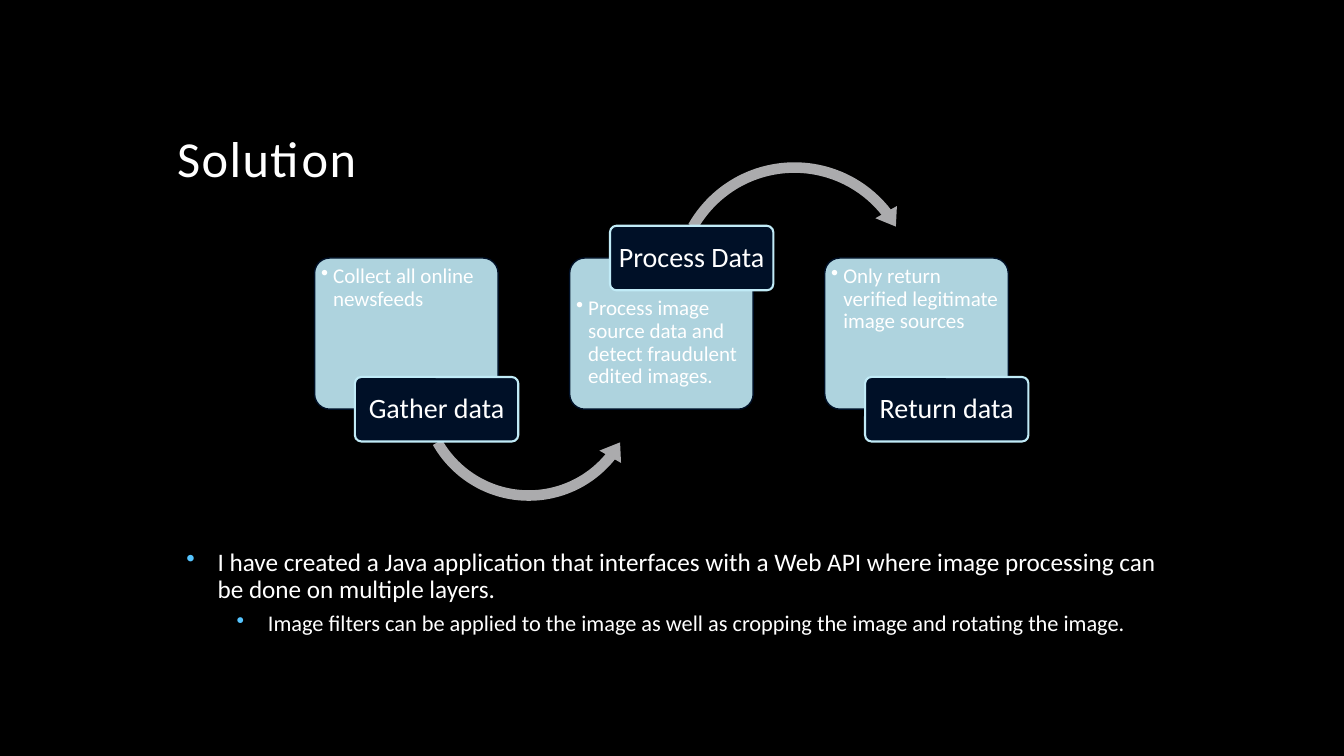
"""Build the Solution slide: a three-step process above two bullet points."""
from pptx import Presentation
from pptx.dml.color import RGBColor
from pptx.enum.shapes import MSO_SHAPE
from pptx.enum.text import MSO_ANCHOR, PP_ALIGN
from pptx.oxml.ns import qn
from pptx.util import Inches, Pt
from lxml.etree import SubElement

TITLE = "Solution"
STEPS = [
    {"label": "Gather data", "detail": "Collect all online newsfeeds", "label_on_top": False,
     "arrow": (MSO_SHAPE.LEFT_CIRCULAR_ARROW, (4.08, 2.71, 2.33, 2.33),
               (0.045, 5.726, 23.481, 90.245, 0.053))},
    {"label": "Process Data", "label_on_top": True,
     "detail": "Process image source data and detect fraudulent edited images.",
     "arrow": (MSO_SHAPE.CIRCULAR_ARROW, (6.6, 1.54, 2.56, 2.56),
               (0.041, 5.153, 193.092, 125.755, 0.048))},
    {"label": "Return data", "detail": "Only return verified legitimate image sources",
     "label_on_top": False, "arrow": None},
]
POINTS = [
    ("I have created a Java application that interfaces with a Web API where image "
     "processing can be done on multiple layers.", 1, 18, 12, 0.81),
    ("Image filters can be applied to the image as well as cropping the image and "
     "rotating the image.", 2, 16, 6, 1.31),
]
BLACK, WHITE, NAVY, ICE, GREY, SKY = "000000", "FFFFFF", "001027", "C1EBF7", "ABABAD", "56C5FF"
CARD_LEFT, CARD_TOP, CARD_WIDTH, CARD_HEIGHT = 3.12, 2.56, 1.82, 1.5
LABEL_WIDTH, LABEL_HEIGHT, LABEL_SHIFT = 1.62, 0.64, 0.4
STEP_PITCH = 2.53


def color(value):
    return RGBColor.from_string(value)


def add_shape(page, kind, place, adjustments, fill, line=None, width=0):
    shape = page.shapes.add_shape(kind, *map(Inches, place))
    shape.shadow.inherit = False
    for index, value in enumerate(adjustments):
        shape.adjustments[index] = value
    shape.fill.solid()
    shape.fill.fore_color.rgb = color(fill)
    if line:
        shape.line.color.rgb = color(line)
        shape.line.width = Pt(width)
    else:
        shape.line.fill.background()
    return shape


def set_frame(shape, anchor=MSO_ANCHOR.TOP, insets=(0.1, 0.05, 0.1, 0.05)):
    frame = shape.text_frame
    sides = ("margin_left", "margin_top", "margin_right", "margin_bottom")
    formats = {"word_wrap": True, "vertical_anchor": anchor, **dict(zip(sides, map(Inches, insets)))}
    for name, value in formats.items():
        setattr(frame, name, value)
    return frame


def write(para, text, size, **formats):
    for name, value in {"alignment": PP_ALIGN.LEFT, "line_spacing": 0.9, **formats}.items():
        setattr(para, name, value)
    span = para.add_run()
    span.text = text
    for name, value in {"name": "Calibri", "size": Pt(size)}.items():
        setattr(span.font, name, value)
    span.font.color.rgb = color(WHITE)
    return span


def add_bullet(para, left, hanging, bullet_color):
    props = para._p.get_or_add_pPr()
    props.set("marL", str(Inches(left)))
    props.set("indent", str(-Inches(hanging)))
    bullet = SubElement(props, qn("a:buClr"))
    SubElement(bullet, qn("a:srgbClr"), val=bullet_color)
    SubElement(props, qn("a:buChar"), char="•")


def add_step(page, index, step):
    left = CARD_LEFT + index * STEP_PITCH
    on_top = step["label_on_top"]
    card = add_shape(page, MSO_SHAPE.ROUNDED_RECTANGLE,
                     (left, CARD_TOP, CARD_WIDTH, CARD_HEIGHT), [0.1], ICE, NAVY, 1)
    fill_color = card.fill._xPr.find(qn("a:solidFill"))[0]
    SubElement(fill_color, qn("a:alpha"), val="90000")
    text_top = LABEL_HEIGHT / 2 + 0.03 if on_top else 0.03
    para = set_frame(card, insets=(0.02, text_top, 0.02, 0.03)).paragraphs[0]
    write(para, step["detail"], 15, level=1)
    add_bullet(para, 0.12, 0.12, WHITE)

    if step["arrow"]:
        kind, place, adjustments = step["arrow"]
        add_shape(page, kind, place, adjustments, GREY)

    edge = CARD_TOP if on_top else CARD_TOP + CARD_HEIGHT
    label = add_shape(page, MSO_SHAPE.ROUNDED_RECTANGLE,
                      (left + LABEL_SHIFT, edge - LABEL_HEIGHT / 2, LABEL_WIDTH, LABEL_HEIGHT),
                      [0.1], NAVY, ICE, 1.5)
    frame = set_frame(label, MSO_ANCHOR.MIDDLE, (0.04, 0.03, 0.04, 0.03))
    write(frame.paragraphs[0], step["label"], 20, alignment=PP_ALIGN.CENTER)


def main():
    deck = Presentation()
    deck.slide_width, deck.slide_height = Inches(13.33), Inches(7.5)
    page = deck.slides.add_slide(deck.slide_layouts[6])
    page.background.fill.solid()
    page.background.fill.fore_color.rgb = color(BLACK)

    title = page.shapes.add_textbox(*map(Inches, (1.66, 0.42, 10, 1.5)))
    span = write(set_frame(title, MSO_ANCHOR.BOTTOM).paragraphs[0], TITLE, 36)
    span.font._element.set("spc", "100")

    for index, step in enumerate(STEPS):
        add_step(page, index, step)

    body = page.shapes.add_textbox(*map(Inches, (1.25, 5.4, 10.37, 1.26)))
    frame = set_frame(body)
    for index, (text, level, size, before, left) in enumerate(POINTS):
        para = frame.add_paragraph() if index else frame.paragraphs[0]
        write(para, text, size, level=level, space_before=Pt(before))
        add_bullet(para, left, 0.31, SKY)

    deck.save("out.pptx")


if __name__ == "__main__":
    main()
